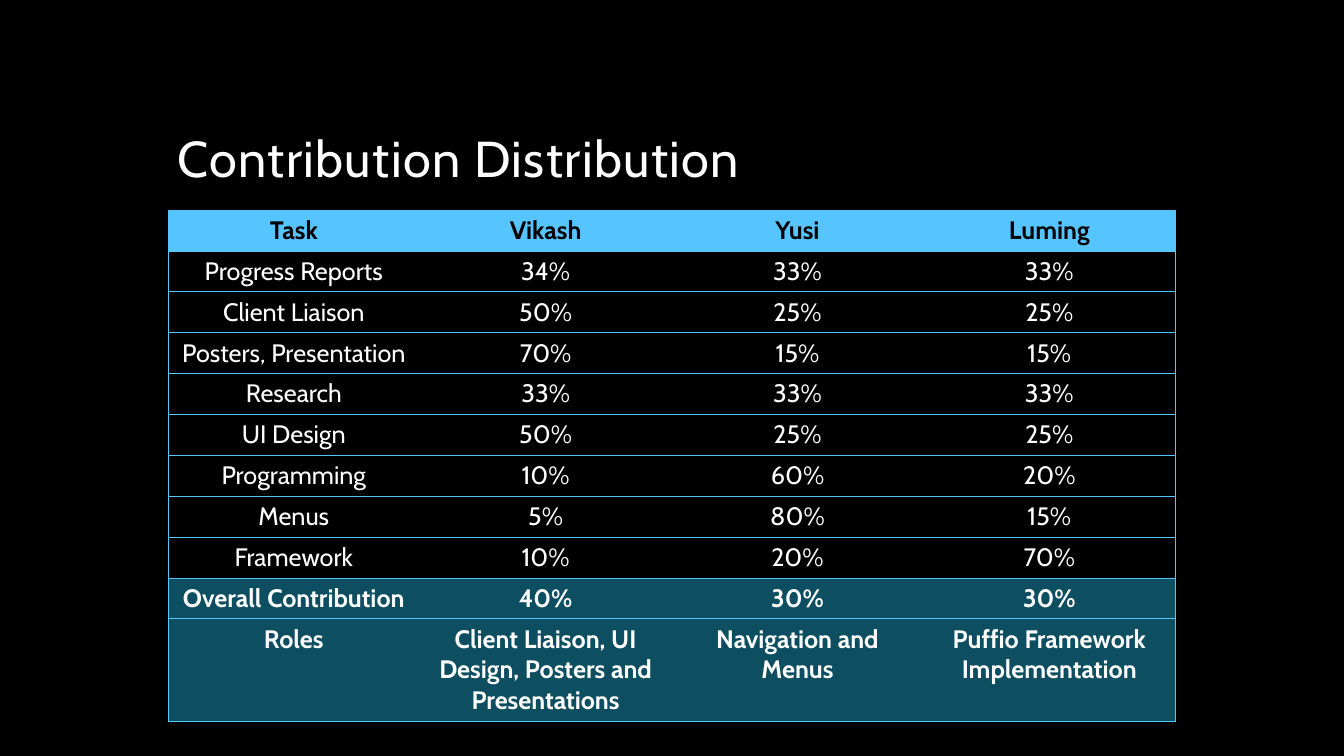
from dataclasses import dataclass

from lxml import etree
from pptx import Presentation
from pptx.dml.color import RGBColor
from pptx.enum.text import MSO_ANCHOR, PP_ALIGN
from pptx.oxml.ns import qn
from pptx.slide import Slide
from pptx.table import _Cell
from pptx.util import Pt

CENTER, LEFT = PP_ALIGN.CENTER, PP_ALIGN.LEFT
BOTTOM = MSO_ANCHOR.BOTTOM
FONT = "Cabin"
COLORS = {
    "black": "000000",
    "white": "FFFFFF",
    "blue": "56C5FF",
    "teal": "0D4F61",
}
TABLE_LEFT, TABLE_TOP = 119.9, 150
COL_WIDTH, ROW_HEIGHT, ROLES_HEIGHT = 179.9, 29.2, 73.2
BORDER_WIDTH = 0.5


@dataclass(frozen=True)
class RowStyle:
    fill: str
    text: str
    bold: bool


@dataclass(frozen=True)
class Row:
    style: RowStyle
    texts: tuple[str, ...]
    height: float = ROW_HEIGHT


HEADER = RowStyle("blue", "black", True)
BODY = RowStyle("black", "white", False)
SUMMARY = RowStyle("teal", "white", True)

ROWS = [
    Row(HEADER, ("Task", "Vikash", "Yusi", "Luming")),
    Row(BODY, ("Progress Reports", "34%", "33%", "33%")),
    Row(BODY, ("Client Liaison", "50%", "25%", "25%")),
    Row(BODY, ("Posters, Presentation", "70%", "15%", "15%")),
    Row(BODY, ("Research", "33%", "33%", "33%")),
    Row(BODY, ("UI Design", "50%", "25%", "25%")),
    Row(BODY, ("Programming", "10%", "60%", "20%")),
    Row(BODY, ("Menus", "5%", "80%", "15%")),
    Row(BODY, ("Framework", "10%", "20%", "70%")),
    Row(SUMMARY, ("Overall Contribution", "40%", "30%", "30%")),
    Row(SUMMARY, ("Roles", "Client Liaison, UI Design, Posters and Presentations",
                  "Navigation and Menus", "Puffio Framework Implementation"),
        ROLES_HEIGHT),
]


def rgb(name: str) -> RGBColor:
    return RGBColor.from_string(COLORS[name])


def set_borders(cell: _Cell, visible: str) -> None:
    """Draw the sides named in visible (of L, R, T, B) and hide the others."""
    tc_pr = cell._tc.get_or_add_tcPr()
    for side in "LRTB":
        ln = etree.SubElement(tc_pr, qn(f"a:ln{side}"), w=str(Pt(BORDER_WIDTH)))
        if side in visible:
            fill = etree.SubElement(ln, qn("a:solidFill"))
            etree.SubElement(fill, qn("a:srgbClr"), val=COLORS["blue"])
        else:
            etree.SubElement(ln, qn("a:noFill"))


def fill_cell(cell: _Cell, text: str, style: RowStyle, borders: str) -> None:
    set_borders(cell, borders)
    cell.fill.solid()
    cell.fill.fore_color.rgb = rgb(style.fill)
    p = cell.text_frame.paragraphs[0]
    p.text = text
    p.alignment = CENTER
    font = p.runs[0].font
    font.name, font.size, font.bold = FONT, Pt(18), style.bold
    font.color.rgb = rgb(style.text)


def add_title(s: Slide, text: str) -> None:
    title = s.shapes.title
    title.left, title.top = Pt(TABLE_LEFT), Pt(30)
    title.width, title.height = Pt(720), Pt(108)
    tf = title.text_frame
    tf.text = text
    tf.word_wrap = True
    tf.vertical_anchor = BOTTOM
    p = tf.paragraphs[0]
    p.alignment, p.line_spacing = LEFT, 0.9
    r = p.runs[0]
    r.font.name, r.font.size = FONT, Pt(36)
    r.font.color.rgb = rgb("white")
    r._r.get_or_add_rPr().set("spc", "100")


def add_contribution_table(s: Slide, rows: list[Row]) -> None:
    cols = len(rows[0].texts)
    table = s.shapes.add_table(
        len(rows), cols, Pt(TABLE_LEFT), Pt(TABLE_TOP),
        Pt(cols * COL_WIDTH), Pt(sum(row.height for row in rows))).table
    table.first_row = table.horz_banding = False
    for col in table.columns:
        col.width = Pt(COL_WIDTH)
    for i, row in enumerate(rows):
        table.rows[i].height = Pt(row.height)
        for j, text in enumerate(row.texts):
            borders = "TB" + "L" * (j == 0) + "R" * (j == cols - 1)
            fill_cell(table.cell(i, j), text, row.style, borders)


def main() -> None:
    prs = Presentation()
    prs.slide_width, prs.slide_height = Pt(960), Pt(540)
    s = prs.slides.add_slide(prs.slide_layouts[5])
    s.background.fill.solid()
    s.background.fill.fore_color.rgb = rgb("black")
    add_title(s, "Contribution Distribution")
    add_contribution_table(s, ROWS)
    prs.save("out.pptx")


if __name__ == "__main__":
    main()
